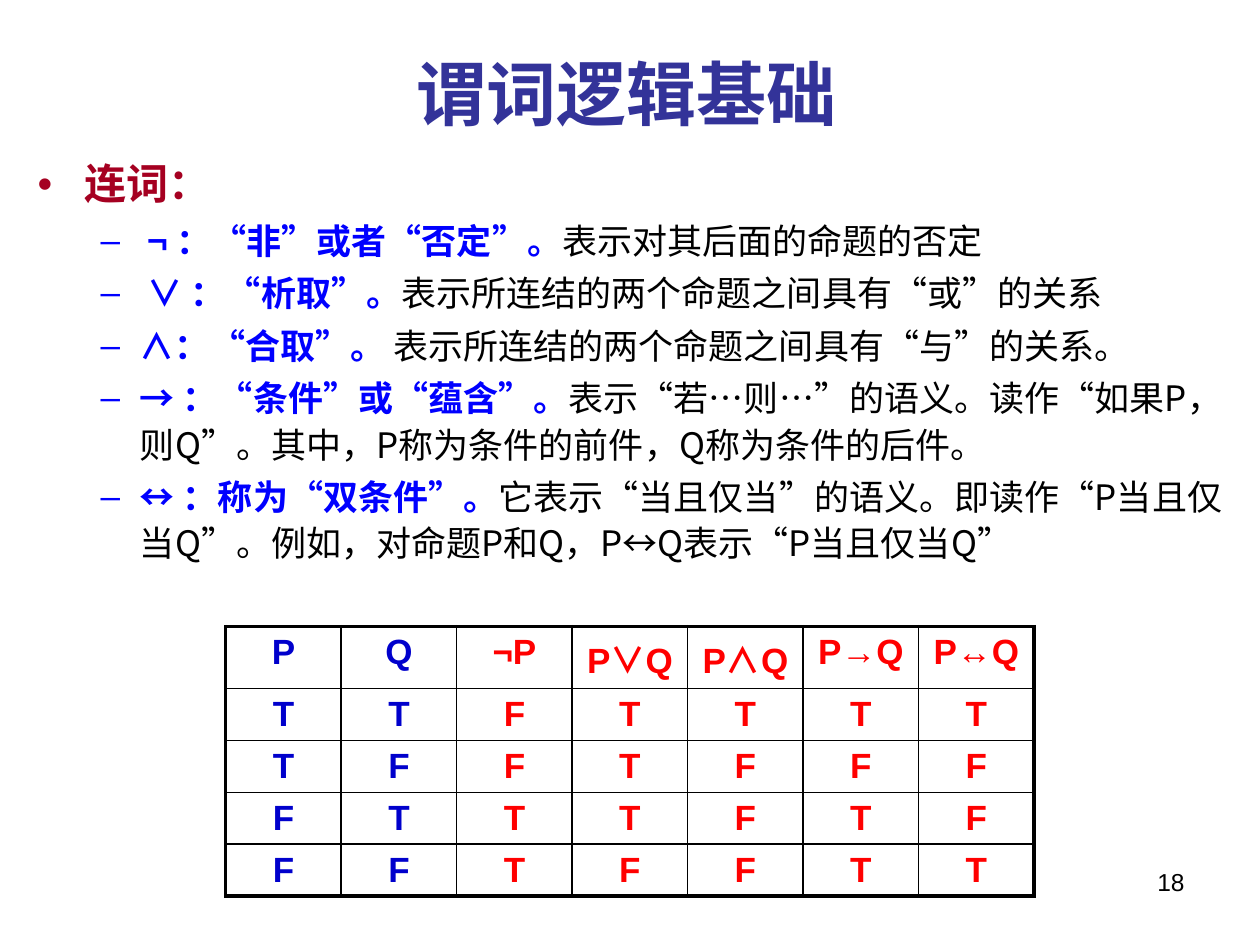
"""Builds a slide on logical connectives with their truth table."""
import pptx
import pptx.dml.color
import pptx.enum.text
import pptx.oxml
import pptx.oxml.ns
import pptx.util

Pt = pptx.util.Pt
Align = pptx.enum.text.PP_ALIGN
Anchor = pptx.enum.text.MSO_ANCHOR


def rgb(value):
    return pptx.dml.color.RGBColor.from_string(value)


def element(xml):
    tag, rest = xml.split(" ", 1)
    return pptx.oxml.parse_xml(f"<a:{tag} {pptx.oxml.ns.nsdecls('a')} {rest}")


class Deck:
    cjk, latin, black = "Noto Sans CJK SC", "Arial", "000000"
    term, given, result = "0000FF", "0000CC", "FF0000"

    def __init__(self, width, height):
        self.show = pptx.Presentation()
        self.show.slide_width, self.show.slide_height = Pt(width), Pt(height)
        self.slide = self.show.slides.add_slide(self.show.slide_layouts[6])

    def style(self, font, size=None, name=None, color=None, bold=None, east=None):
        if size:
            font.size = Pt(size)
        if name:
            font.name = name
        if east:
            font._rPr.append(element(f'ea typeface="{east}"/>'))
        if color:
            font.color.rgb = rgb(color)
        if bold is not None:
            font.bold = bold

    def frame(self, left, top, width, height, anchor=Anchor.TOP):
        box = self.slide.shapes.add_textbox(Pt(left), Pt(top), Pt(width), Pt(height))
        box.text_frame.word_wrap = True
        box.text_frame.vertical_anchor = anchor
        return box.text_frame

    def label(self, text, place, align, anchor=Anchor.TOP, **look):
        line = self.frame(*place, anchor).paragraphs[0]
        line.text, line.alignment = text, align
        self.style(line.font, **look)

    def bullet(self, line, mark, color, margin, hanging, spacing):
        props = line._p.get_or_add_pPr()
        props.set("marL", str(Pt(margin)))
        props.set("indent", str(-Pt(hanging)))
        props.append(element(f'buClr ><a:srgbClr val="{color}"/></a:buClr>'))
        props.append(element(f'buFont typeface="{self.latin}"/>'))
        props.append(element(f'buChar char="{mark}"/>'))
        line.line_spacing = spacing

    def outline(self, place, heading, items):
        body = self.frame(*place)
        first = body.paragraphs[0]
        first.text = heading
        self.bullet(first, "•", "A50021", 27, 27, 0.95)
        self.style(first.font, 24, self.cjk, "A50021", True, self.cjk)
        for name, meaning in items:
            line = body.add_paragraph()
            line.level = 1
            self.bullet(line, "–", self.term, 58.5, 22.5, 1.1)
            line.space_before = Pt(3.6)
            self.style(line.font, 20, self.cjk, east=self.cjk)
            for text, color, bold in ((name, self.term, True), (meaning, self.black, False)):
                run = line.add_run()
                run.text = text
                self.style(run.font, color=color, bold=bold)

    def borders(self, cell, outer):
        props = cell._tc.get_or_add_tcPr()
        for index, (side, edge) in enumerate(zip("LRTB", outer)):
            width = Pt(2.25 if edge else 1)
            props.insert(index, element(
                f'ln{side} w="{width}"><a:solidFill><a:srgbClr val="{self.black}"/>'
                f"</a:solidFill></a:ln{side}>"))

    def cell(self, cell, text, color, outer):
        cell.fill.background()
        cell.margin_top, cell.margin_bottom = Pt(3.6), Pt(2)
        self.borders(cell, outer)
        line = cell.text_frame.paragraphs[0]
        line.alignment = Align.CENTER
        self.style(line.font, 20, color=color, bold=True)
        parts = list(text) if set(text) & set("∨∧") else [text]
        for part in parts:
            run = line.add_run()
            run.text = part
            if part in "∨∧":
                self.style(run.font, name=self.cjk, east=self.cjk)
            else:
                self.style(run.font, name=self.latin)

    def truth_table(self, left, top, column, heights, rows, inputs):
        last_row, last_column = len(rows) - 1, len(rows[0]) - 1
        table = self.slide.shapes.add_table(
            len(rows), len(rows[0]), Pt(left), Pt(top),
            Pt(column * len(rows[0])), Pt(sum(heights))).table
        table.first_row = table.horz_banding = False
        for track in table.columns:
            track.width = Pt(column)
        for r, (row, height) in enumerate(zip(rows, heights)):
            table.rows[r].height = Pt(height)
            for c, text in enumerate(row):
                color = self.given if c < inputs else self.result
                outer = (c == 0, c == last_column, r == 0, r == last_row)
                self.cell(table.cell(r, c), text, color, outer)


CONNECTIVES = [
    (" ¬ ：“非”或者“否定”。", "表示对其后面的命题的否定"),
    (" ∨ ：“析取”。", "表示所连结的两个命题之间具有“或”的关系"),
    ("∧：“合取”。 ", "表示所连结的两个命题之间具有“与”的关系。"),
    ("→ ：“条件”或“蕴含”。",
     "表示“若…则…”的语义。读作“如果P，则Q”。其中，P称为条件的前件，Q称为条件的后件。"),
    ("↔ ：称为“双条件”。",
     "它表示“当且仅当”的语义。即读作“P当且仅当Q”。例如，对命题P和Q，P↔Q表示“P当且仅当Q”"),
]
TRUTH = [["P", "Q", "¬P", "P∨Q", "P∧Q", "P→Q", "P↔Q"],
         "TTFTTTT", "TFFTFFF", "FTTTFTF", "FFTFFTT"]


def main():
    deck = Deck(720, 540)
    deck.label("18", (516, 492, 168, 37.5), Align.RIGHT,
               size=14, name=deck.latin, color=deck.black)
    deck.outline((14.4, 88.5, 692, 230), "连词：", CONNECTIVES)
    deck.truth_table(129, 358, 66, [35.5] + [29.6] * 4, TRUTH, inputs=2)
    deck.label("谓词逻辑基础", (34, 17.5, 648, 70.5), Align.CENTER, Anchor.MIDDLE,
               size=40, name="Times New Roman", color="333399", bold=True, east=deck.cjk)
    deck.show.save("out.pptx")


if __name__ == "__main__":
    main()
